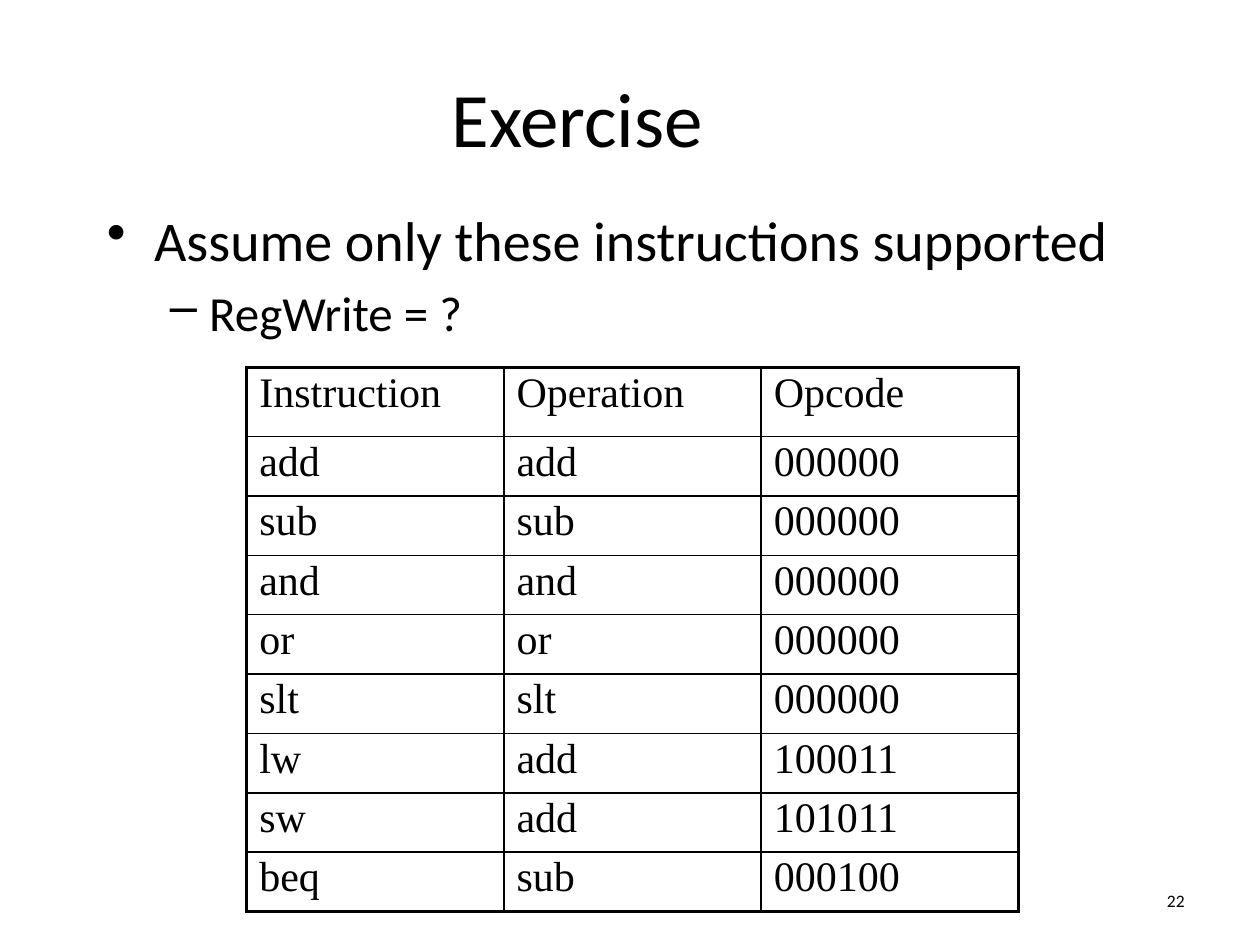
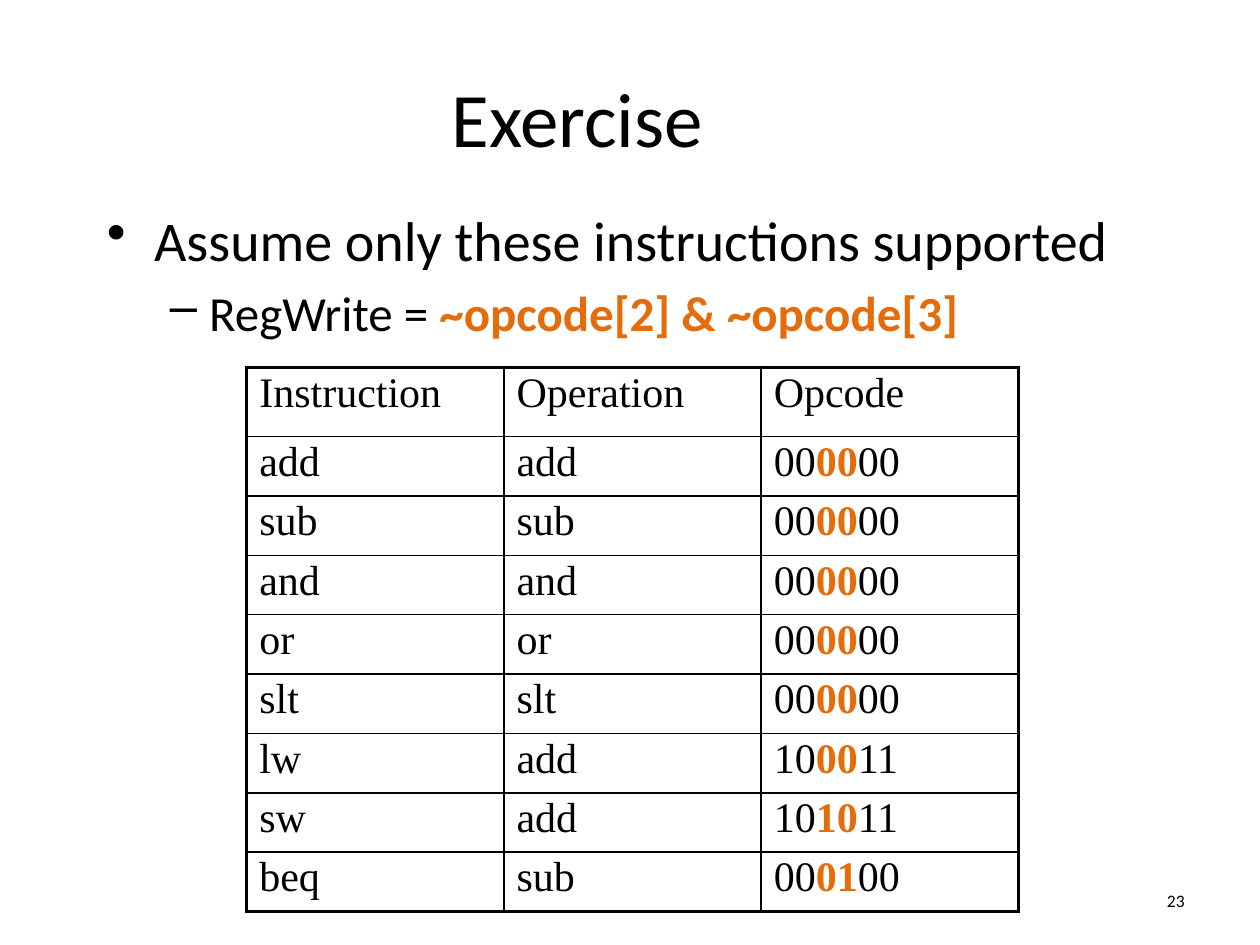
from pptx import Presentation
from pptx.dml.color import RGBColor
from pptx.enum.text import MSO_ANCHOR, PP_ALIGN
from pptx.oxml.ns import qn
from pptx.util import Pt
from lxml.etree import SubElement, Element

# Content: text between asterisks is stressed
TITLE = "Exercise"
LEAD = "Assume only these instructions supported"
SLIDES = [
    {"page": 22, "answer": "RegWrite = ?", "stress": False},
    {"page": 23, "answer": "RegWrite = *~opcode[2] & ~opcode[3]*", "stress": True},
]
HEAD = ("Instruction", "Operation", "Opcode")
CODES = [
    ("add", "add", "000000"),
    ("sub", "sub", "000000"),
    ("and", "and", "000000"),
    ("or", "or", "000000"),
    ("slt", "slt", "000000"),
    ("lw", "add", "100011"),
    ("sw", "add", "101011"),
    ("beq", "sub", "000100"),
]

# Shared style
COLORS = {"ink": "000000", "stress": "E46C0A", "page": "FFFFFF"}
SANS, SERIF = "Calibri", "Times New Roman"
THICK, THIN = 2.25, 1

# Places: left, top, width, height
TITLE_BOX = (36, 21.6, 588, 90)
BODY_BOX = (54, 114, 612, 90)
PAGE_BOX = (600, 500.4, 84, 28.8)
GRID_LEFT, GRID_TOP, COL_WIDTH = 141, 210, 147
HEAD_HEIGHT, ROW_HEIGHT = 39.5, 33.95


def write(frame, text, size=24, font=SANS, align=PP_ALIGN.LEFT, bullet=None,
          left=0, hang=0, line=None, before=0, more=False):
    """Write one paragraph; more=True adds it below the ones already there."""
    para = frame.add_paragraph() if more else frame.paragraphs[0]
    if bullet:
        props = para._p.get_or_add_pPr()
        props.set("marL", str(Pt(left)))
        props.set("indent", str(-Pt(hang)))
        SubElement(props, qn("a:buChar")).set("char", bullet)
    para.alignment = align
    para.space_before = Pt(before)
    if line:
        para.line_spacing = line
    for i, part in enumerate(text.split("*")):
        if not part:
            continue
        run = para.add_run()
        run.text = part
        run.font.size, run.font.name = Pt(size), font
        run.font.bold = i % 2 == 1
        tone = "stress" if i % 2 else "ink"
        run.font.color.rgb = RGBColor.from_string(COLORS[tone])


def add_box(slide, place, anchor=MSO_ANCHOR.TOP):
    frame = slide.shapes.add_textbox(*map(Pt, place)).text_frame
    frame.word_wrap = True
    frame.vertical_anchor = anchor
    return frame


def add_edges(cell, widths):
    """Draw cell borders; widths maps L, R, T, B to points."""
    props = cell._tc.get_or_add_tcPr()
    for i, (side, width) in enumerate(widths.items()):
        edge = Element(qn(f"a:ln{side}"), w=str(Pt(width)))
        fill = SubElement(edge, qn("a:solidFill"))
        SubElement(fill, qn("a:srgbClr")).set("val", COLORS["ink"])
        props.insert(i, edge)


def add_grid(slide, stress):
    rows = [HEAD]
    for name, task, code in CODES:
        if stress:
            code = f"{code[:2]}*{code[2:4]}*{code[4:]}"
        rows.append((name, task, code))
    high = HEAD_HEIGHT + ROW_HEIGHT * len(CODES)
    place = (GRID_LEFT, GRID_TOP, COL_WIDTH * len(HEAD), high)
    grid = slide.shapes.add_table(len(rows), len(HEAD), *map(Pt, place)).table
    grid.first_row = grid.horz_banding = False
    for col in grid.columns:
        col.width = Pt(COL_WIDTH)
    end_row, end_col = len(rows) - 1, len(HEAD) - 1
    for r, row in enumerate(rows):
        grid.rows[r].height = Pt(ROW_HEIGHT if r else HEAD_HEIGHT)
        for c, text in enumerate(row):
            cell = grid.cell(r, c)
            cell.fill.background()
            write(cell.text_frame, text, font=SERIF, line=0.9)
            add_edges(cell, {
                "L": THIN if c else THICK,
                "R": THICK if c == end_col else THIN,
                "T": THIN if r else THICK,
                "B": THICK if r == end_row else THIN,
            })


def add_slide(deck, page, answer, stress):
    slide = deck.slides.add_slide(deck.slide_layouts[6])
    back = slide.background.fill
    back.solid()
    back.fore_color.rgb = RGBColor.from_string(COLORS["page"])
    # Title
    write(add_box(slide, TITLE_BOX, MSO_ANCHOR.MIDDLE), TITLE, size=44,
          align=PP_ALIGN.CENTER)
    # Bullets
    body = add_box(slide, BODY_BOX)
    write(body, LEAD, size=32, bullet="•", left=27, hang=27)
    write(body, answer, size=28, bullet="–", left=58.5, hang=22.5,
          before=5.6, more=True)
    # Table and page number
    add_grid(slide, stress)
    write(add_box(slide, PAGE_BOX, MSO_ANCHOR.MIDDLE), str(page), size=10,
          align=PP_ALIGN.RIGHT)


def main():
    deck = Presentation()
    deck.slide_width, deck.slide_height = Pt(720), Pt(540)
    for item in SLIDES:
        add_slide(deck, **item)
    deck.save("out.pptx")


if __name__ == "__main__":
    main()
